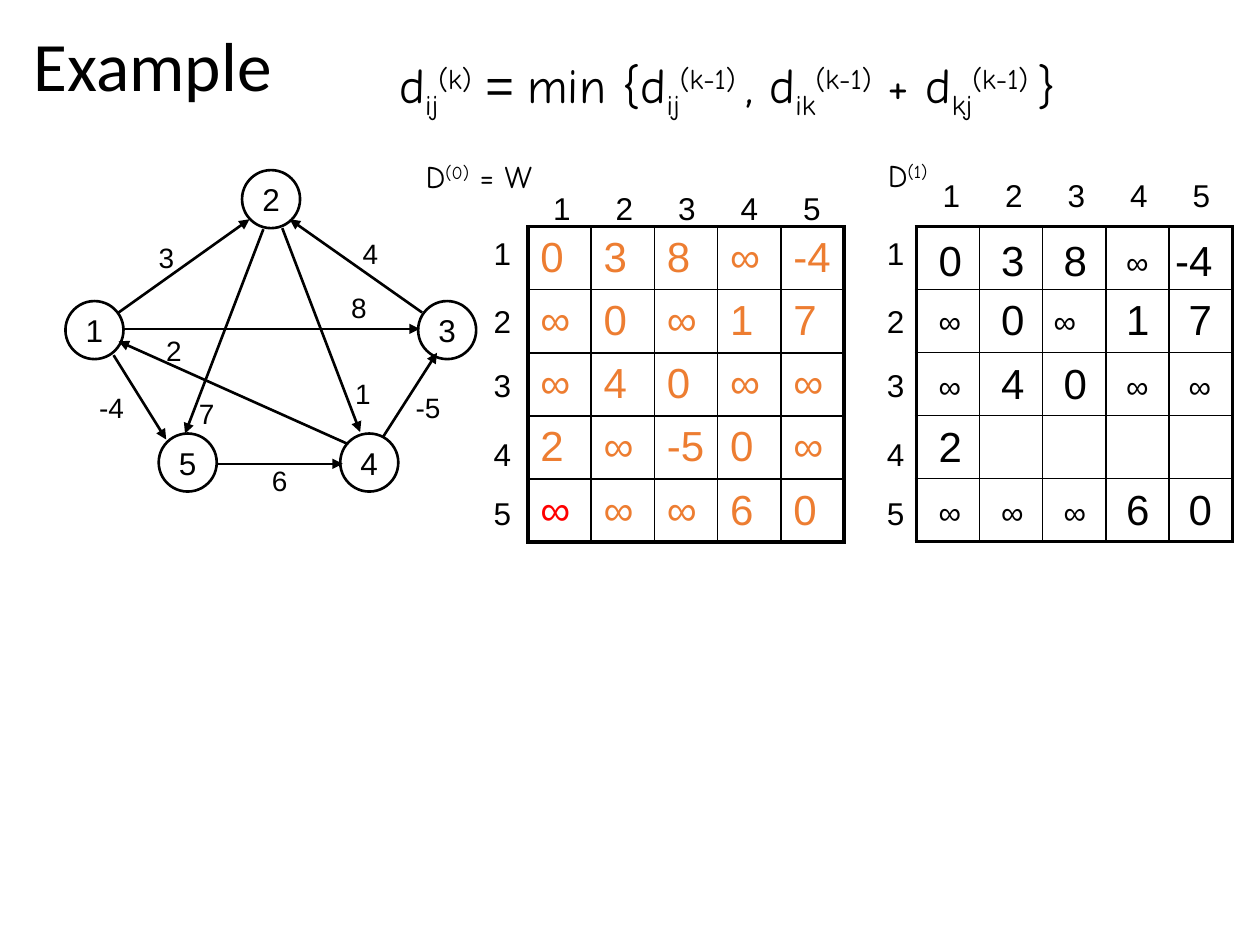
from dataclasses import dataclass

import pptx
import pptx.dml.color
import pptx.enum.shapes
import pptx.enum.text
import pptx.oxml
import pptx.oxml.ns
import pptx.util
from pptx.util import Cm, Pt


@dataclass(frozen=True)
class Theme:
    black: str = "000000"
    orange: str = "ED7D31"
    red: str = "FF0000"
    title_font: str = "Calibri"
    body_font: str = "Arial"
    formula_font: str = "Comic Neue"
    title_size: float = 39.6
    formula_size: float = 28
    value_size: float = 24
    label_size: float = 18
    weight_size: float = 16
    graph_line: float = 1.5
    inner_border: float = 1
    outer_border: float = 2.25


THEME = Theme()
NODE_SIZE = 1.17
CELL_WIDTH, CELL_HEIGHT = 1.275, 1.27
COLUMN_PITCH = 1.26
TABLE_TOP = 4.57
ROW_LABEL_TOPS = [4.6, 5.97, 7.26, 8.64, 9.83]
VALUE_TOPS = [4.6, 5.79, 7.09, 8.36, 9.63]
SUB, SUPER = -25000, 30000

# Graph: node positions, edges (from, to), weight positions; all in cm
NODES = {"1": (1.32, 6.07), "2": (4.88, 3.43), "3": (8.43, 6.07),
         "5": (3.2, 8.74), "4": (6.86, 8.74)}
EDGES = [
    ((2.39, 6.3), (5.03, 4.42)), ((2.29, 7.16), (3.35, 8.86)),
    ((4.39, 9.35), (6.91, 9.35)), ((5.69, 4.6), (7.26, 8.71)),
    ((6.99, 8.94), (2.39, 6.88)), ((8.51, 6.3), (5.84, 4.42)),
    ((5.31, 4.62), (3.73, 8.74)), ((7.72, 8.81), (8.81, 7.11)),
    ((2.51, 6.63), (8.46, 6.63)),
]
WEIGHTS = [("3", 2.95, 4.72), ("-4", 1.75, 7.75), ("7", 3.76, 7.87),
           ("6", 5.23, 9.22), ("2", 3.1, 6.6), ("4", 7.06, 4.65),
           ("1", 6.91, 7.47), ("-5", 8.13, 7.75), ("8", 6.83, 5.74)]

# Matrices, one row of values per line
D0 = ["0 3 8 ∞ -4", "∞ 0 ∞ 1 7", "∞ 4 0 ∞ ∞", "2 ∞ -5 0 ∞", "∞ ∞ ∞ 6 0"]
D1 = ["0 3 8 ∞ -4", "∞ 0 ∞ 1 7", "∞ 4 0 ∞ ∞", "2", "∞ ∞ ∞ 6 0"]
D1_SHIFTS = {(0, 4): -0.27, (1, 2): -0.2}

FORMULA = [("d", 0), ("ij", SUB), ("(k)", SUPER), (" = ", 0), ("min {d", 0),
           ("ij", SUB), ("(k-1) ", SUPER), (", d", 0), ("ik", SUB),
           ("(k-1)", SUPER), (" + d", 0), ("kj", SUB), ("(k-1) ", SUPER),
           ("}", 0)]


def set_font(font, size, name=THEME.body_font, color=THEME.black):
    font.size = Pt(size)
    font.name = name
    font.color.rgb = pptx.dml.color.RGBColor.from_string(color)


def add_text_box(slide, left, top, width, height):
    box = slide.shapes.add_textbox(Cm(left), Cm(top), Cm(width), Cm(height))
    box.text_frame.word_wrap = False
    box.text_frame.auto_size = pptx.enum.text.MSO_AUTO_SIZE.SHAPE_TO_FIT_TEXT
    return box.text_frame.paragraphs[0]


def add_label(slide, text, left, top, size):
    """Add a short text whose box follows its type size."""
    width = 0.51 + 0.0203 * size * (1.6 if len(text) > 1 else 1)
    height = 0.25 + 0.0424 * size
    paragraph = add_text_box(slide, left, top, width, height)
    paragraph.text = text
    set_font(paragraph.font, size)


def add_formula(slide, parts, left, top, width, height, size):
    """Add a text built from (text, baseline) parts."""
    paragraph = add_text_box(slide, left, top, width, height)
    for text, baseline in parts:
        run = paragraph.add_run()
        run.text = text
        name = THEME.body_font if text == " = " else THEME.formula_font
        set_font(run.font, size, name)
        if baseline:
            run._r.get_or_add_rPr().set("baseline", str(baseline))
    return paragraph


def add_title(slide, text):
    title = slide.shapes.title
    title.left, title.top, title.width, title.height = (
        Cm(0.43), Cm(0.46), Cm(24.43), Cm(1.88))
    title.text_frame.text = text
    title.text_frame.vertical_anchor = pptx.enum.text.MSO_ANCHOR.MIDDLE
    paragraph = title.text_frame.paragraphs[0]
    paragraph.alignment = pptx.enum.text.PP_ALIGN.LEFT
    paragraph.line_spacing = 0.9
    set_font(paragraph.font, THEME.title_size, THEME.title_font)


def set_line(line):
    line.color.rgb = pptx.dml.color.RGBColor.from_string(THEME.black)
    line.width = Pt(THEME.graph_line)


def add_node(slide, name, left, top):
    node = slide.shapes.add_shape(
        pptx.enum.shapes.MSO_SHAPE.OVAL,
        Cm(left), Cm(top), Cm(NODE_SIZE), Cm(NODE_SIZE))
    node.shadow.inherit = False
    node.fill.background()
    set_line(node.line)
    frame = node.text_frame
    frame.word_wrap = False
    frame.text = name
    frame.vertical_anchor = pptx.enum.text.MSO_ANCHOR.MIDDLE
    frame.paragraphs[0].alignment = pptx.enum.text.PP_ALIGN.CENTER
    set_font(frame.paragraphs[0].font, THEME.label_size)


def add_edge(slide, start, end):
    edge = slide.shapes.add_connector(
        pptx.enum.shapes.MSO_CONNECTOR.STRAIGHT,
        *(Cm(value) for value in start + end))
    set_line(edge.line)
    edge.line._get_or_add_ln().append(pptx.oxml.parse_xml(
        f'<a:tailEnd {pptx.oxml.ns.nsdecls("a")} type="triangle"/>'))
    edge._element.spPr.append(pptx.oxml.parse_xml(
        f'<a:effectLst {pptx.oxml.ns.nsdecls("a")}/>'))


def set_borders(cell, row, column, last):
    """Draw thin borders inside the grid and thick ones around it."""
    outer = {"lnL": column == 0, "lnR": column == last,
             "lnT": row == 0, "lnB": row == last}
    properties = cell._tc.get_or_add_tcPr()
    for index, (tag, is_outer) in enumerate(outer.items()):
        width = Pt(THEME.outer_border if is_outer else THEME.inner_border)
        properties.insert(index, pptx.oxml.parse_xml(
            f'<a:{tag} {pptx.oxml.ns.nsdecls("a")} w="{width}"><a:solidFill>'
            f'<a:srgbClr val="{THEME.black}"/></a:solidFill></a:{tag}>'))


def add_grid(slide, left, count=5):
    table = slide.shapes.add_table(
        count, count, Cm(left), Cm(TABLE_TOP),
        Cm(CELL_WIDTH * count), Cm(CELL_HEIGHT * count)).table
    table.first_row = False
    table.horz_banding = False
    for row in range(count):
        for column in range(count):
            cell = table.cell(row, column)
            cell.fill.background()
            cell.vertical_anchor = pptx.enum.text.MSO_ANCHOR.MIDDLE
            set_borders(cell, row, column, count - 1)
    return table


def fill_grid(table, values):
    for row, line in enumerate(values):
        for column, value in enumerate(line.split()):
            paragraph = table.cell(row, column).text_frame.paragraphs[0]
            paragraph.text = value
            color = THEME.red if (row, column) == (4, 0) else THEME.orange
            set_font(paragraph.font, THEME.value_size, color=color)


def add_values(slide, values, left):
    """Lay single values over an empty grid; infinity is set smaller."""
    for row, line in enumerate(values):
        for column, value in enumerate(line.split()):
            x = left + column * COLUMN_PITCH + D1_SHIFTS.get((row, column), 0)
            small = value == "∞"
            add_label(slide, value, x, VALUE_TOPS[row] + (0.18 if small else 0),
                      THEME.label_size if small else THEME.value_size)


def add_indices(slide, row_left, column_left, column_top):
    for index, row_top in enumerate(ROW_LABEL_TOPS):
        name = str(index + 1)
        add_label(slide, name, row_left, row_top, THEME.label_size)
        add_label(slide, name, column_left + index * COLUMN_PITCH, column_top,
                  THEME.label_size)


def main():
    presentation = pptx.Presentation()
    presentation.slide_width, presentation.slide_height = Cm(25.4), Cm(19.05)
    slide = presentation.slides.add_slide(presentation.slide_layouts[5])

    # Title and recurrence
    add_title(slide, "Example")
    recurrence = add_formula(slide, FORMULA, 7.8, 0.71, 15.82, 1.68,
                             THEME.formula_size)
    recurrence.line_spacing = 1.2
    recurrence.space_before = Pt(5.6)

    # Weighted graph
    for name, position in NODES.items():
        add_node(slide, name, *position)
    for start, end in EDGES:
        add_edge(slide, start, end)
    for weight, left, top in WEIGHTS:
        add_label(slide, weight, left, top, THEME.weight_size)

    # Initial matrix
    add_formula(slide, [("D", 0), ("(0)", SUPER), (" = W", 0)],
                8.33, 3.05, 2.9, 1.02, THEME.label_size)
    fill_grid(add_grid(slide, 10.64), D0)
    add_indices(slide, 9.7, 10.9, 3.68)

    # Matrix after the first step
    add_formula(slide, [("D", 0), ("(1)", SUPER)],
                17.65, 3.02, 1.47, 1.02, THEME.label_size)
    add_grid(slide, 18.47)
    add_values(slide, D1, 18.67)
    add_indices(slide, 17.63, 18.75, 3.43)

    presentation.save("out.pptx")


if __name__ == "__main__":
    main()
